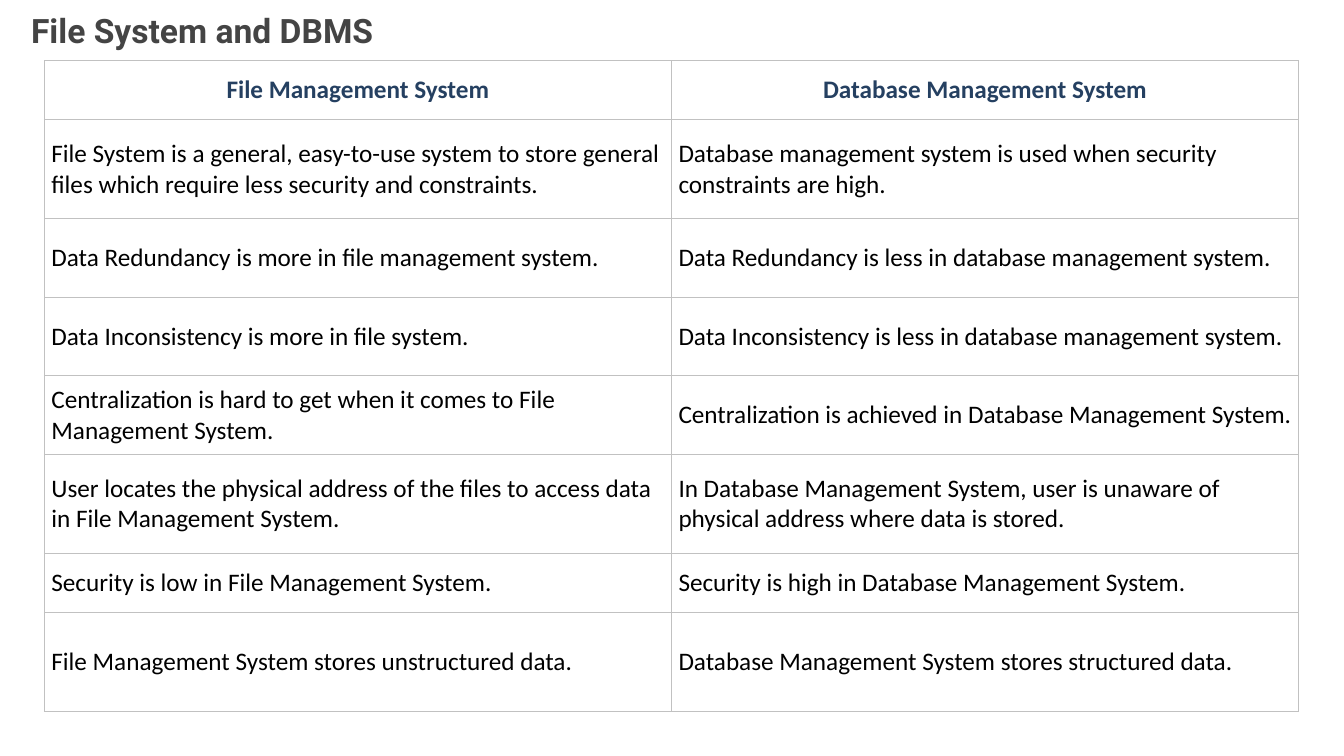
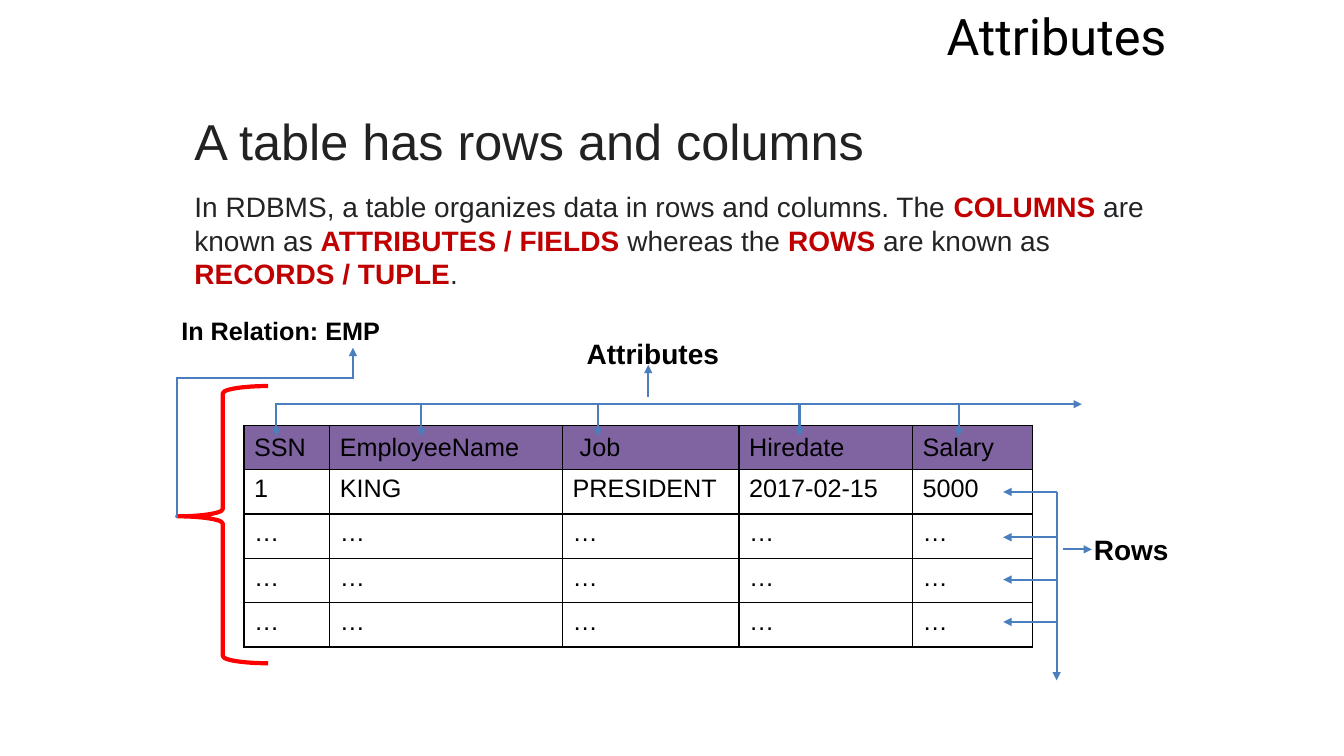
from itertools import accumulate
from lxml.etree import SubElement
from pptx import Presentation
from pptx.dml.color import RGBColor
from pptx.enum.shapes import MSO_CONNECTOR, MSO_SHAPE
from pptx.enum.text import MSO_ANCHOR, MSO_AUTO_SIZE, PP_ALIGN
from pptx.oxml import parse_xml
from pptx.oxml.ns import nsdecls, qn
from pptx.util import Inches, Pt

COLORS = {
    "white": "FFFFFF", "black": "000000", "title": "444444", "navy": "254061",
    "grid": "C1C1C1", "head": "222222", "body": "222426", "key": "C00000",
    "purple": "8064A2", "arrow": "4B7EBC", "brace": "FF0000",
}
# Each style: font name, size, colour, bold
STYLES = {
    "title": ("Roboto", 24, "title", True),
    "corner": ("Roboto", 36, "black", False),
    "head": ("Arial", 36, "head", False),
    "body": ("Arial", 20, "body", False),
    "key": ("Arial", 20, "key", True),
    "label": ("Arial", 20, "black", True),
    "small": ("Arial", 18, "black", True),
    "data": ("Arial", 18, "black", False),
    "topic": ("Calibri", 18, "navy", True),
    "point": ("Calibri", 18, "black", False),
}

COMPARE = [
    ("File Management System", "Database Management System"),
    ("File System is a general, easy-to-use system to store general files "
     "which require less security and constraints.",
     "Database management system is used when security constraints are high."),
    ("Data Redundancy is more in file management system.",
     "Data Redundancy is less in database management system."),
    ("Data Inconsistency is more in file system.",
     "Data Inconsistency is less in database management system."),
    ("Centralization is hard to get when it comes to File Management System.",
     "Centralization is achieved in Database Management System."),
    ("User locates the physical address of the files to access data in File "
     "Management System.",
     "In Database Management System, user is unaware of physical address "
     "where data is stored."),
    ("Security is low in File Management System.",
     "Security is high in Database Management System."),
    ("File Management System stores unstructured data.",
     "Database Management System stores structured data."),
]
HEIGHTS = [0.59, 0.98, 0.78, 0.78, 0.78, 0.98, 0.59, 0.98]

INTRO = [
    ("In RDBMS, a table organizes data in rows and columns. The ", "body"),
    ("COLUMNS ", "key"), ("are known as ", "body"),
    ("ATTRIBUTES / FIELDS ", "key"), ("whereas the ", "body"),
    ("ROWS ", "key"), ("are known as ", "body"),
    ("RECORDS / TUPLE", "key"), (".", "body"),
]
STAFF = [
    ("SSN", "EmployeeName", "Job", "Hiredate", "Salary"),
    ("1", "KING", "PRESIDENT", "2017-02-15", "5000"),
] + [("…",) * 5] * 3
WIDTHS = [0.85, 2.31, 1.75, 1.72, 1.19]

BUS = 4.01      # height of the line over the columns
SPINE = 10.48   # line to the right of the rows
DROPS = [2.74, 4.18, 5.93, 7.93, 9.51]
TICKS = [4.88, 5.33, 5.75, 6.17]
# Each line: start x, start y, end x, end y, has an arrowhead
LINES = [
    (6.43, 3.94, 6.43, 3.62, True),
    *[(x, BUS, x, 4.33, True) for x in DROPS],
    (10.54, 5.45, 10.83, 5.45, True),
    *[(SPINE, y, 9.95, y, True) for y in TICKS],
    (1.76, 5.14, 1.76, 3.75, False),
    (3.5, 3.75, 1.75, 3.75, False),
    (3.5, 3.76, 3.5, 3.45, True),
    (SPINE, TICKS[0], SPINE, 6.75, True),
    (2.73, BUS, 10.73, BUS, True),
]


def color(name):
    return RGBColor.from_string(COLORS[name])


def write(frame, runs, align=PP_ALIGN.LEFT):
    """Fill the first paragraph with (text, style) runs."""
    para = frame.paragraphs[0]
    para.alignment = align
    for text, style in runs:
        run = para.add_run()
        run.text = text
        name, size, tint, bold = STYLES[style]
        form = {"name": name, "size": Pt(size), "bold": bold}
        for key, value in form.items():
            setattr(run.font, key, value)
        run.font.color.rgb = color(tint)


def label(slide, box, runs, wrap=True):
    frame = slide.shapes.add_textbox(*map(Inches, box)).text_frame
    frame.word_wrap = wrap
    frame.auto_size = MSO_AUTO_SIZE.SHAPE_TO_FIT_TEXT
    write(frame, runs)


def border(cell, tint, width):
    props = cell._tc.get_or_add_tcPr()
    for spot, side in enumerate("LRTB"):
        props.insert(spot, parse_xml(
            f'<a:ln{side} {nsdecls("a")} w="{Pt(width)}"><a:solidFill>'
            f'<a:srgbClr val="{COLORS[tint]}"/></a:solidFill></a:ln{side}>'))


def grid(slide, left, top, widths, heights, rows, look):
    """Add a table; look holds the styles, fills, border and margins."""
    size = (left, top, sum(widths), sum(heights))
    table = slide.shapes.add_table(
        len(rows), len(widths), *map(Inches, size)).table
    table.first_row = table.horz_banding = False
    for col, width in zip(table.columns, widths):
        col.width = Inches(width)
    for num, (row, height) in enumerate(zip(rows, heights)):
        table.rows[num].height = Inches(height)
        part = look["body" if num else "head"]
        for cell, text in zip(table.rows[num].cells, row):
            for side, gap in zip(("left", "top", "right", "bottom"),
                                 look["gaps"]):
                setattr(cell, f"margin_{side}", Inches(gap))
            cell.vertical_anchor = part["anchor"]
            if part["fill"]:
                cell.fill.solid()
                cell.fill.fore_color.rgb = color(part["fill"])
            else:
                cell.fill.background()
            border(cell, *look["border"])
            write(cell.text_frame, [(text, part["style"])], part["align"])
    return table


def link(slide, x1, y1, x2, y2, arrow):
    line = slide.shapes.add_connector(
        MSO_CONNECTOR.STRAIGHT, *map(Inches, (x1, y1, x2, y2)))
    line.line.color.rgb = color("arrow")
    line.line.width = Pt(1.5)
    if arrow:
        SubElement(line.line._get_or_add_ln(), qn("a:tailEnd"),
                   type="triangle")
    SubElement(line._element.spPr, qn("a:effectLst"))


def shape(slide, kind, box):
    item = slide.shapes.add_shape(kind, *map(Inches, box))
    item.shadow.inherit = False
    return item


def part(style, fill, anchor=MSO_ANCHOR.MIDDLE, align=PP_ALIGN.LEFT):
    return {"style": style, "fill": fill, "anchor": anchor, "align": align}


def compare(slide):
    label(slide, (0.21, 0.05, 3.67, 0.5),
          [("File System and DBMS", "title")], wrap=False)
    grid(slide, 0.44, 0.6, [6.22] * 2, HEIGHTS, COMPARE, {
        "head": part("topic", "white", align=PP_ALIGN.CENTER),
        "body": part("point", "white"),
        "border": ("grid", 0.75), "gaps": [0.07] * 4})


def relation(slide):
    label(slide, (1.83, 1.04, 9.67, 0.71),
          [("A table has rows and columns", "head")])
    bar = shape(slide, MSO_SHAPE.RECTANGLE, (1.67, 0, 10, 0.71))
    bar.fill.solid()
    bar.fill.fore_color.rgb = color("white")
    bar.line.fill.background()
    bar.text_frame.vertical_anchor = MSO_ANCHOR.TOP
    write(bar.text_frame, [("Attributes", "corner")], PP_ALIGN.RIGHT)
    label(slide, (1.83, 1.83, 9.67, 1.11), INTRO)

    table = grid(slide, 2.42, 4.22, WIDTHS, [0.44] * 5, STAFF, {
        "head": part("data", "purple"),
        "body": part("data", None, MSO_ANCHOR.TOP),
        "border": ("black", 1), "gaps": [0.1, 0.05] * 2})
    table.cell(0, 2).margin_left = Inches(0.17)

    label(slide, (5.72, 3.29, 1.53, 0.44), [("Attributes", "label")], False)
    label(slide, (10.75, 5.23, 0.95, 0.44), [("Rows", "label")])
    label(slide, (1.7, 3.08, 2.19, 0.4), [("In Relation: EMP", "small")],
          False)
    brace = shape(slide, MSO_SHAPE.LEFT_BRACE, (1.76, 3.83, 0.9, 2.75))
    brace.adjustments[0], brace.adjustments[1] = 0.08, 0.47
    brace.fill.background()
    brace.line.color.rgb = color("brace")
    brace.line.width = Pt(3)
    for ends in LINES:
        link(slide, *ends)


def main():
    deck = Presentation()
    deck.slide_width, deck.slide_height = Inches(13.33), Inches(7.5)
    for build in (compare, relation):
        build(deck.slides.add_slide(deck.slide_layouts[6]))
    deck.save("out.pptx")


if __name__ == "__main__":
    main()
